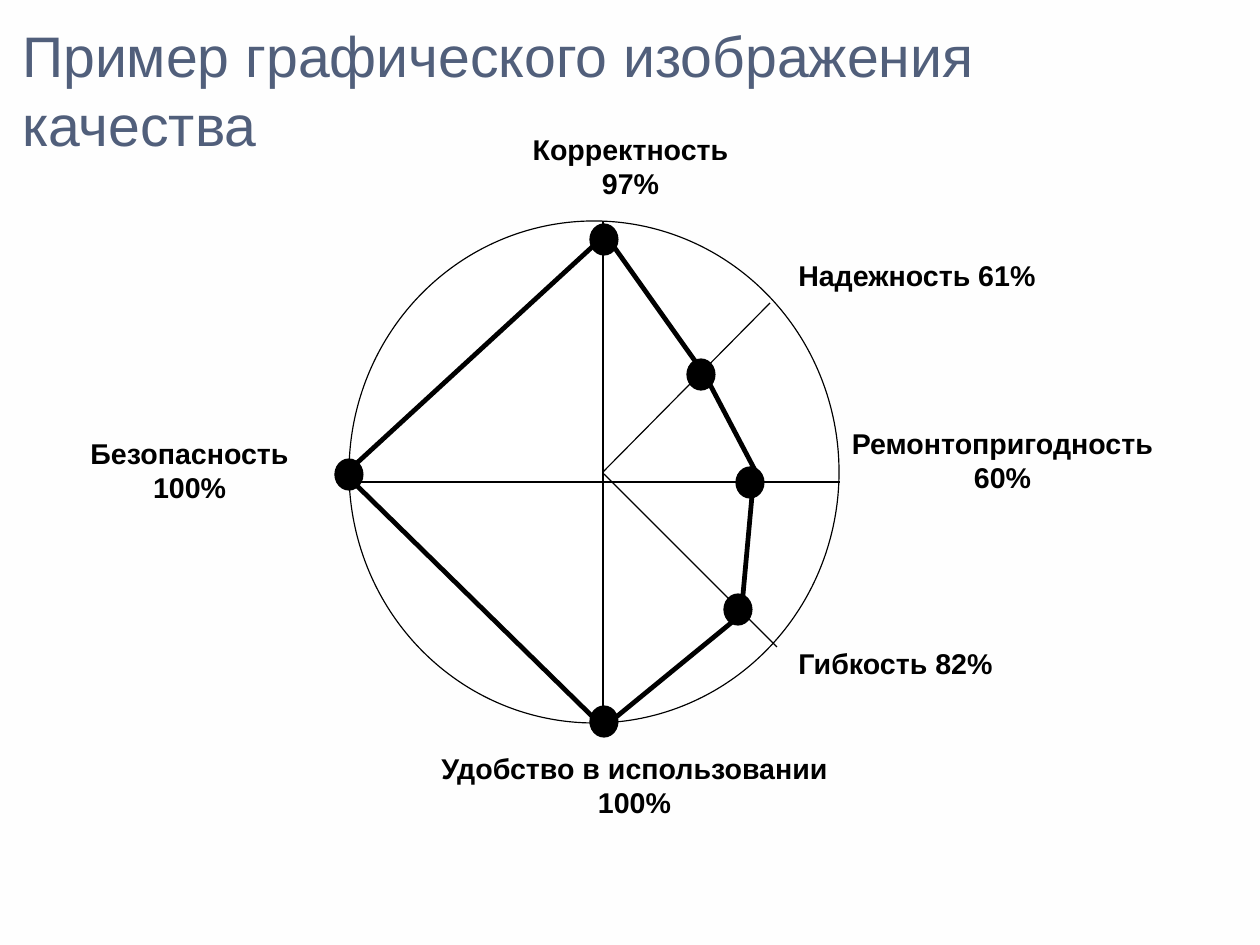
from lxml import etree
from pptx import Presentation
from pptx import util as u
from pptx.dml.color import RGBColor
from pptx.enum import shapes, text
from pptx.oxml import ns

PX = 8000
BLACK = RGBColor(0x00, 0x00, 0x00)
WHITE = RGBColor(0xFF, 0xFF, 0xFF)
OFF_WHITE = RGBColor(0xFE, 0xFE, 0xFE)
SLATE = RGBColor(0x51, 0x5F, 0x7B)

DOT_WIDTH, DOT_HEIGHT = 28, 31
SPOKES = [
    (254, 502, 254, 0),
    (254, 251, 421, 82),
    (255, 253, 428, 426),
    (-4, 261, 491, 261),
]
EDGES = [
    (-4, 253, 254, 16),
    (258, 16, 356, 154),
    (356, 154, 408, 253),
    (405, 253, 393, 385),
    (255, 506, 393, 393),
    (-4, 253, 254, 506),
]
DOTS = [(241, 3), (338, 138), (387, 246), (375, 373), (241, 485), (-14, 238)]
LABELS = [
    ("Корректность 97%", (145, -95, 273, 80), text.PP_ALIGN.CENTER),
    ("Надежность 61%", (438, 31, 273, 46), text.PP_ALIGN.LEFT),
    ("Ремонтопригодность 60%", (461, 199, 385, 80), text.PP_ALIGN.CENTER),
    ("Гибкость 82%", (438, 419, 273, 46), text.PP_ALIGN.LEFT),
    ("Удобство в использовании 100%", (60, 524, 451, 80), text.PP_ALIGN.CENTER),
    ("Безопасность 100%", (-296, 209, 273, 80), text.PP_ALIGN.CENTER),
]


def px(*lengths):
    return [u.Emu(length * PX) for length in lengths]


def add_text(parent, wording, box, size=18, bold=True, color=BLACK,
             align=text.PP_ALIGN.LEFT, anchor=text.MSO_ANCHOR.TOP, before=11.2):
    frame = parent.add_textbox(*px(*box)).text_frame
    frame.word_wrap = True
    frame.vertical_anchor = anchor
    para = frame.paragraphs[0]
    para.alignment = align
    para.space_before = u.Pt(before)
    span = para.add_run()
    span.text = wording
    span.font.name = "Arial"
    span.font.size = u.Pt(size)
    span.font.bold = bold
    span.font.color.rgb = color


def add_ellipse(parent, box, fill):
    ellipse = parent.add_shape(shapes.MSO_SHAPE.OVAL, *px(*box))
    ellipse.shadow.inherit = False
    ellipse.fill.solid()
    ellipse.fill.fore_color.rgb = fill
    ellipse.line.color.rgb = BLACK
    ellipse.line.width = u.Pt(0.75)


def add_line(parent, ends, width):
    line = parent.add_connector(shapes.MSO_CONNECTOR.STRAIGHT, *px(*ends))
    line.line.color.rgb = BLACK
    line.line.width = u.Pt(width)
    etree.SubElement(line._element.spPr, ns.qn("a:effectLst"))


def draw_background(page):
    fill = page.background.fill
    fill.gradient()
    fill.gradient_angle = 270
    for stop, color in zip(fill.gradient_stops, (OFF_WHITE, WHITE)):
        stop.color.rgb = color


def draw_title(page, box):
    add_text(page.shapes, "Пример графического изображения качества", box,
             size=36, bold=False, color=SLATE,
             anchor=text.MSO_ANCHOR.MIDDLE, before=0)


def draw_quality_wheel(page, box):
    left, top, _, _ = box
    parts = page.shapes.add_group_shape().shapes
    add_ellipse(parts, box, WHITE)
    for lines, width in ((SPOKES, 0.75), (EDGES, 3)):
        for x1, y1, x2, y2 in lines:
            add_line(parts, (left + x1, top + y1, left + x2, top + y2), width)
    for x, y in DOTS:
        add_ellipse(parts, (left + x, top + y, DOT_WIDTH, DOT_HEIGHT), BLACK)
    for wording, (x, y, width, height), align in LABELS:
        add_text(parts, wording, (left + x, top + y, width, height), align=align)


def main():
    deck = Presentation()
    deck.slide_width, deck.slide_height = px(1260, 945)
    page = deck.slides.add_slide(deck.slide_layouts[6])
    draw_background(page)
    draw_title(page, (11, 21, 1166, 136))
    draw_quality_wheel(page, (349, 221, 490, 502))
    deck.save("out.pptx")


if __name__ == "__main__":
    main()
